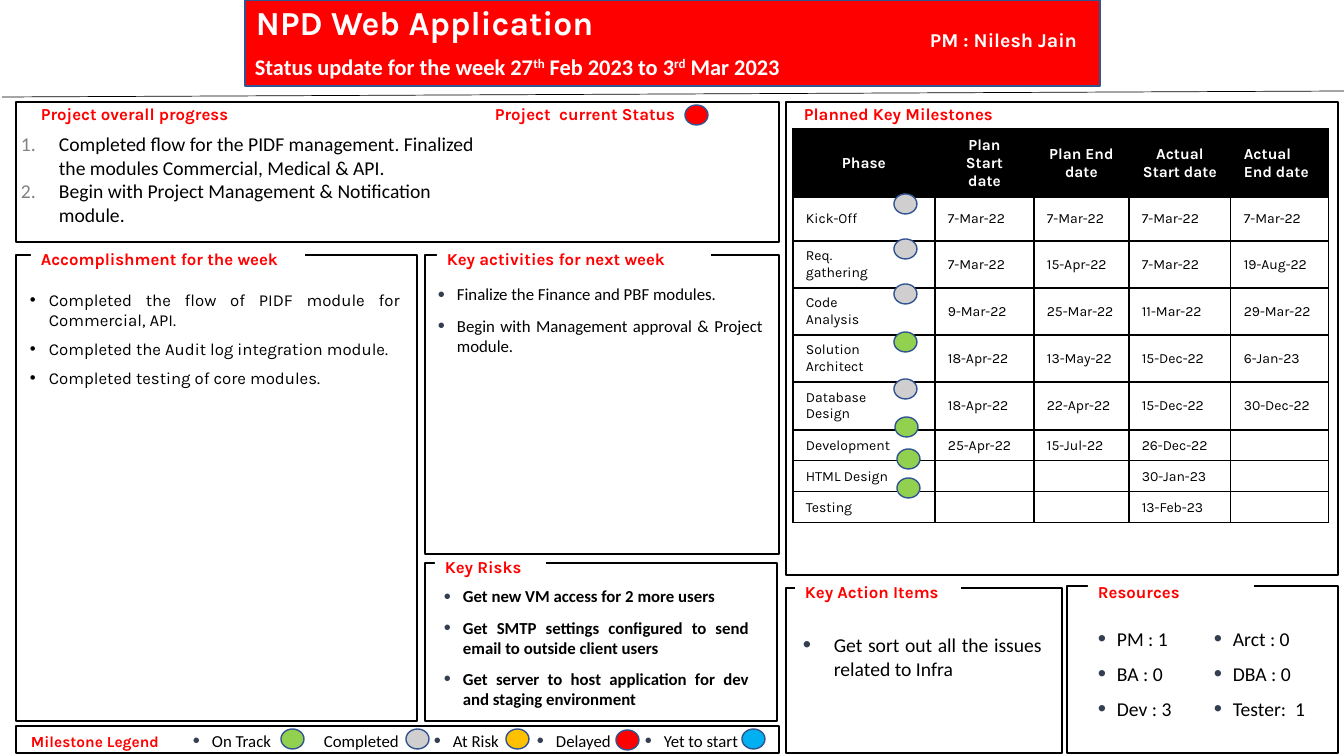
from dataclasses import dataclass

from pptx import Presentation
from pptx.dml.color import RGBColor
from pptx.enum.shapes import MSO_CONNECTOR, MSO_SHAPE
from pptx.enum.text import MSO_ANCHOR, PP_ALIGN
from pptx.oxml.ns import qn
from pptx.util import Emu, Pt
from lxml.etree import SubElement

PIXEL = 914400 / 100.8


@dataclass(frozen=True)
class Theme:
    """Colours, fonts and type sizes of the slide."""
    red: str = "FF0000"
    white: str = "FFFFFF"
    black: str = "000000"
    outline: str = "325491"
    bullet: str = "333F50"
    number: str = "808080"
    completed: str = "D0CECE"
    on_track: str = "92D050"
    at_risk: str = "FFC000"
    to_start: str = "00B0F0"
    display: str = "Karla"
    body: str = "Calibri"
    title_size: int = 24
    subtitle_size: int = 16
    large_size: int = 14
    body_size: int = 12
    label_size: int = 11
    cell_size: int = 10


theme = Theme()
presentation = Presentation()
presentation.slide_width = Emu(round(1344 * PIXEL))
presentation.slide_height = Emu(round(756 * PIXEL))
slide = presentation.slides.add_slide(presentation.slide_layouts[6])


def add_box(bounds, fill=None, line=None, line_width=1.5, kind=MSO_SHAPE.RECTANGLE):
    """Add a preset shape with pixel bounds, flat fill and optional outline."""
    shape = slide.shapes.add_shape(kind, *(Emu(round(length * PIXEL)) for length in bounds))
    shape.shadow.inherit = False
    if fill:
        shape.fill.solid()
        shape.fill.fore_color.rgb = RGBColor.from_string(fill)
    else:
        shape.fill.background()
    if line:
        shape.line.color.rgb = RGBColor.from_string(line)
        shape.line.width = Pt(line_width)
    else:
        shape.line.fill.background()
    frame = shape.text_frame
    frame.word_wrap = True
    frame.vertical_anchor = MSO_ANCHOR.TOP
    frame.margin_top = frame.margin_bottom = 0
    return shape


def write(frame, texts, font=theme.body, size=theme.body_size, color=theme.black, bold=False,
          align=PP_ALIGN.LEFT, before=0, after=0, indent=0, marker=None, marker_color=None):
    """Write one paragraph per text; a tuple of texts alternates plain and superscript runs."""
    for index, text in enumerate(texts):
        paragraph = frame.paragraphs[0] if index == 0 else frame.add_paragraph()
        paragraph.alignment = align
        paragraph.space_before, paragraph.space_after = Pt(before), Pt(after)
        for position, part in enumerate(text if isinstance(text, tuple) else (text,)):
            run = paragraph.add_run()
            run.text = part
            run.font.name, run.font.size, run.font.bold = font, Pt(size), bold
            run.font.color.rgb = RGBColor.from_string(color)
            if position % 2:
                run.font._element.set("baseline", "30000")
        if marker:
            properties = paragraph._p.get_or_add_pPr()
            properties.set("marL", str(round(indent * PIXEL)))
            properties.set("indent", str(-round(indent * PIXEL)))
            if marker_color:
                color_node = SubElement(properties, qn("a:buClr"))
                SubElement(color_node, qn("a:srgbClr"), val=marker_color)
            if marker == "number":
                SubElement(properties, qn("a:buAutoNum"), type="arabicPeriod")
            else:
                if marker_color:
                    SubElement(properties, qn("a:buSzPct"), val="120000")
                SubElement(properties, qn("a:buFont"), typeface="Arial")
                SubElement(properties, qn("a:buChar"), char=marker)


bullets = dict(align=PP_ALIGN.JUSTIFY, before=6, after=2, indent=19, marker="•",
               marker_color=theme.bullet)
heading = dict(font=theme.display, color=theme.red, bold=True, before=2, after=2)
banner = dict(color=theme.white, bold=True)

# Panels
for bounds in [
    (425, 255, 354, 299), (16, 102, 763, 140), (16, 255, 401, 466), (786, 588, 276, 165),
    (786, 102, 552, 473), (16, 726, 763, 27), (425, 563, 352, 158), (1067, 586, 271, 167),
]:
    add_box(bounds, theme.white, theme.black)

# Title banner
add_box((245, 0, 855, 86), theme.red, theme.outline, 1)
write(add_box((246, 2, 405, 40)).text_frame, ["NPD Web Application"],
      font=theme.display, size=theme.title_size, **banner)
write(add_box((245, 53, 560, 28)).text_frame,
      [("Status update for the week 27", "th", " Feb 2023 to 3", "rd", " Mar 2023")],
      size=theme.subtitle_size, **banner)
write(add_box((920, 28, 169, 24), theme.red).text_frame, ["PM : Nilesh Jain"],
      font=theme.display, size=theme.large_size, before=6, align=PP_ALIGN.JUSTIFY, **banner)
divider = slide.shapes.add_connector(
    MSO_CONNECTOR.STRAIGHT, *(Emu(round(length * PIXEL)) for length in (2, 97, 1344, 91)))
divider.line.color.rgb = RGBColor.from_string(theme.black)
divider.line.width = Pt(0.5)
SubElement(divider._element.spPr, qn("a:effectLst"))

# Panel headings
for text, left, top, width in [
    ("Project overall progress", 31, 104, 274),
    ("Project  current Status", 485, 104, 204),
    ("Planned Key Milestones", 794, 104, 249),
    ("Accomplishment for the week", 31, 249, 274),
    ("Key activities for next week", 437, 249, 274),
    ("Key Risks", 435, 557, 111),
    ("Key Action Items", 795, 582, 166),
    ("Resources", 1088, 582, 166),
]:
    write(add_box((left, top, width, 20), theme.white).text_frame, [text], **heading)
write(add_box((21, 732, 155, 19), theme.white).text_frame, ["Milestone Legend"],
      size=theme.label_size, **heading)

# Panel contents
write(add_box((11, 132, 487, 100)).text_frame, [
    "Completed flow for the PIDF management. Finalized the modules Commercial, Medical & API.",
    "Begin with Project Management & Notification module.",
], size=theme.large_size, indent=38, marker="number", marker_color=theme.number)
write(add_box((20, 290, 390, 99), theme.white).text_frame, [
    "Completed the flow of PIDF module for Commercial, API.",
    "Completed the Audit log integration module.",
    "Completed testing of core modules.",
], font=theme.display, align=PP_ALIGN.JUSTIFY, before=6, indent=19, marker="•")
write(add_box((428, 284, 345, 73), theme.white).text_frame, [
    "Finalize the Finance and PBF modules.",
    "Begin with Management approval & Project module.",
], **bullets)
write(add_box((434, 586, 325, 124), theme.white).text_frame, [
    "Get new VM access for 2 more users",
    "Get SMTP settings configured to send email to outside client users",
    "Get server to host application for dev and staging environment",
], bold=True, **bullets)
write(add_box((793, 633, 259, 47), theme.white).text_frame,
      ["Get sort out all the issues related to Infra"],
      size=theme.large_size, **{**bullets, "indent": 31})
for left, roles in [(1088, ["PM : 1", "BA : 0", "Dev : 3"]),
                    (1204, ["Arct : 0", "DBA : 0", "Tester:  1"])]:
    write(add_box((left, 627, 120, 94), theme.white).text_frame, roles,
          size=theme.large_size, **bullets)

# Milestone table
milestones = [
    ["Phase", "Plan Start date", "Plan End date", "Actual\nStart date", "Actual\nEnd date"],
    ["Kick-Off", "7-Mar-22", "7-Mar-22", "7-Mar-22", "7-Mar-22"],
    ["Req.\ngathering", "7-Mar-22", "15-Apr-22", "7-Mar-22", "19-Aug-22"],
    ["Code\nAnalysis", "9-Mar-22", "25-Mar-22", "11-Mar-22", "29-Mar-22"],
    ["Solution\nArchitect", "18-Apr-22", "13-May-22", "15-Dec-22", "6-Jan-23"],
    ["Database\nDesign", "18-Apr-22", "22-Apr-22", "15-Dec-22", "30-Dec-22"],
    ["Development", "25-Apr-22", "15-Jul-22", "26-Dec-22", ""],
    ["HTML Design", "", "", "30-Jan-23", ""],
    ["Testing", "", "", "13-Feb-23", ""],
]
column_widths = [142, 99, 95, 102, 98]
row_heights = [68, 44, 47, 47, 47, 48, 30, 30, 30]
table = slide.shapes.add_table(
    len(row_heights), len(column_widths),
    *(Emu(round(length * PIXEL))
      for length in (793, 129, sum(column_widths), sum(row_heights)))).table
table.first_row = table.horz_banding = False
for column, width in zip(table.columns, column_widths):
    column.width = Emu(round(width * PIXEL))
for row_index, (row, height) in enumerate(zip(table.rows, row_heights)):
    row.height = Emu(round(height * PIXEL))
    header = row_index == 0
    for column_index, text in enumerate(milestones[row_index]):
        cell = row.cells[column_index]
        cell.vertical_anchor = MSO_ANCHOR.MIDDLE
        cell.margin_left = cell.margin_right = Emu(round(13 * PIXEL))
        cell.margin_top = cell.margin_bottom = Emu(round(7 * PIXEL))
        for side in ("lnL", "lnR", "lnT", "lnB"):
            border = SubElement(cell._tc.get_or_add_tcPr(), qn(f"a:{side}"), w=str(Pt(1)))
            border_fill = SubElement(border, qn("a:solidFill"))
            SubElement(border_fill, qn("a:srgbClr"), val=theme.black)
        cell.fill.solid()
        cell.fill.fore_color.rgb = RGBColor.from_string(theme.black if header else theme.white)
        if text:
            write(cell.text_frame, text.split("\n"), font=theme.display, bold=header,
                  size=theme.label_size if header else theme.cell_size,
                  color=theme.white if header else theme.black,
                  align=PP_ALIGN.CENTER if header and column_index < 4 else PP_ALIGN.LEFT)
        else:
            SubElement(cell.text_frame.paragraphs[0]._p, qn("a:endParaRPr"),
                       sz=str(theme.cell_size * 100))

# Legend labels
for text, left, width in [("Completed", 295, 123), ("On Track", 183, 138), ("At Risk", 424, 146),
                          ("Delayed", 527, 146), ("Yet to start", 635, 142)]:
    write(add_box((left, 731, width, 20), theme.white).text_frame, [text], **bullets)

# Status markers
for left, top, color in [
    (406, 729, theme.completed), (281, 729, theme.on_track), (506, 729, theme.at_risk),
    (616, 730, theme.red), (742, 729, theme.to_start), (685, 105, theme.red),
    (894, 194, theme.completed), (894, 239, theme.completed), (894, 284, theme.completed),
    (894, 332, theme.on_track), (894, 379, theme.completed), (895, 417, theme.on_track),
    (897, 449, theme.on_track), (897, 478, theme.on_track),
]:
    add_box((left, top, 23, 20), color, theme.outline, 1, MSO_SHAPE.OVAL)

presentation.save("out.pptx")
